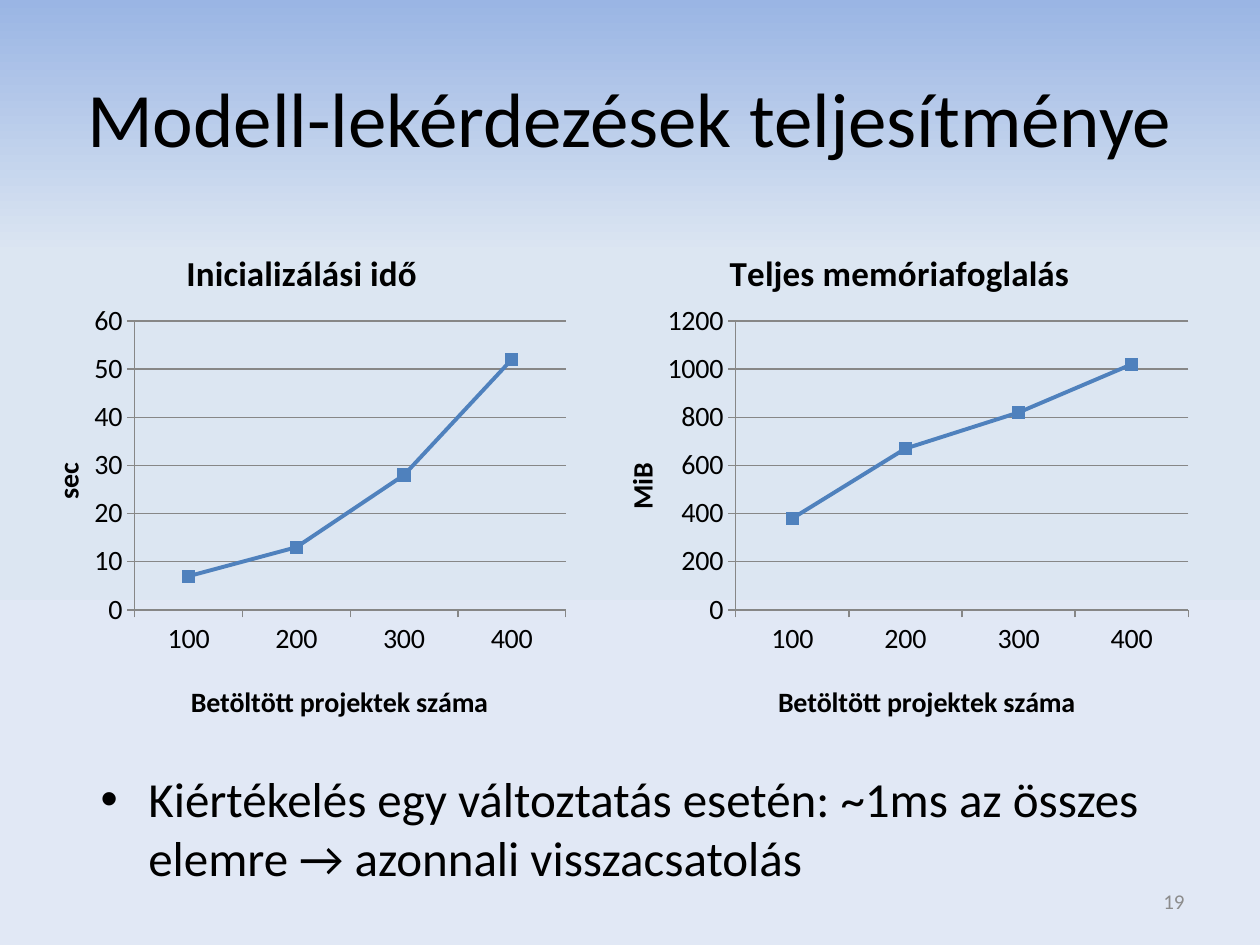
import pptx
import pptx.chart.data
import pptx.dml.color
import pptx.enum.chart
import pptx.enum.text
import pptx.oxml
import pptx.oxml.ns
import pptx.util

WIDTH, HEIGHT = 10, 7.5
FONT = "Calibri"
PROJECTS = ["100", "200", "300", "400"]
BLACK, GRAY, BLUE, AXIS = "000000", "8C8C8C", "4F81BD", "878787"
qn = pptx.oxml.ns.qn


def color(value):
    """Turn a hex string into a colour."""
    return pptx.dml.color.RGBColor.from_string(value)


def box(left, top, width, height):
    """Turn shares of the slide into lengths."""
    return [pptx.util.Inches(share * size) for share, size in
            zip((left, top, width, height), (WIDTH, HEIGHT) * 2)]


def style_font(font, size, hex_color=BLACK, bold=False):
    """Set the face, size, colour and weight of a font."""
    font.name, font.size, font.bold = FONT, pptx.util.Pt(size), bold
    font.color.rgb = color(hex_color)


def add_background(slide, stops):
    """Fill the background with a vertical gradient."""
    fill = slide.background.fill
    fill.gradient()
    fill.gradient_angle = 270
    stop_list = slide._element.find(".//" + qn("a:gsLst"))
    for stop in list(stop_list):
        stop_list.remove(stop)
    for percent, value in stops:
        stop_list.append(pptx.oxml.parse_xml(
            f'<a:gs {pptx.oxml.ns.nsdecls("a")} pos="{percent * 1000}">'
            f'<a:srgbClr val="{value}"/></a:gs>'))


def add_text(slide, place, text, size, hex_color=BLACK, align="LEFT", anchor="MIDDLE"):
    """Add a wrapped text box and return its paragraph."""
    frame = slide.shapes.add_textbox(*box(*place)).text_frame
    frame.word_wrap = True
    frame.vertical_anchor = getattr(pptx.enum.text.MSO_ANCHOR, anchor)
    paragraph = frame.paragraphs[0]
    paragraph.text = text
    paragraph.alignment = getattr(pptx.enum.text.PP_ALIGN, align)
    style_font(paragraph.font, size, hex_color)
    return paragraph


def add_bullet(paragraph, indent):
    """Give a paragraph a bullet with a hanging indent."""
    properties = paragraph._p.get_or_add_pPr()
    properties.set("marL", str(pptx.util.Inches(indent)))
    properties.set("indent", str(-pptx.util.Inches(indent)))
    namespace = pptx.oxml.ns.nsdecls("a")
    bullet = [pptx.oxml.parse_xml(f'<a:buFont {namespace} typeface="Arial"/>'),
              pptx.oxml.parse_xml(f'<a:buChar {namespace} char="•"/>')]
    for position, element in enumerate(bullet):
        properties.insert(len(properties.findall(qn("a:spcBef"))) + position, element)


def set_layout(element, **shares):
    """Place a chart part by shares of the chart's size."""
    for layout in element.findall(qn("c:layout")):
        element.remove(layout)
    target = '<c:layoutTarget val="inner"/>' if "w" in shares else ""
    modes = "".join(f'<c:{key}Mode val="edge"/>' for key in ("x", "y"))
    values = "".join(f'<c:{key} val="{share}"/>' for key, share in shares.items())
    element.insert(len(element.findall(qn("c:tx"))), pptx.oxml.parse_xml(
        f'<c:layout {pptx.oxml.ns.nsdecls("c")}><c:manualLayout>'
        f'{target}{modes}{values}</c:manualLayout></c:layout>'))


def set_title(title, text, size, x, y):
    """Write and place a bold chart or axis title."""
    paragraph = title.text_frame.paragraphs[0]
    paragraph.text = text
    style_font(paragraph.font, size, bold=True)
    set_layout(title._element, x=x, y=y)


def style_line(line, hex_color, width):
    """Set the colour and width of a line."""
    line.color.rgb = color(hex_color)
    line.width = pptx.util.Pt(width)


def add_line_chart(slide, place, title, unit, values, top_value, step, plot, title_x):
    """Add a line chart over the number of loaded projects."""
    data = pptx.chart.data.CategoryChartData()
    data.categories = PROJECTS
    data.add_series("Series 1", values)
    kind = pptx.enum.chart.XL_CHART_TYPE.LINE_MARKERS
    chart = slide.shapes.add_chart(kind, *box(*place), data).chart
    style_font(chart.font, 10)
    chart.has_legend = False
    set_title(chart.chart_title, title, 20, title_x, 0.06)
    set_title(chart.category_axis.axis_title, "Betöltött projektek száma", 16, 0.31, 0.89)
    set_title(chart.value_axis.axis_title, unit, 16, 0.06, 0.47)
    for axis in (chart.category_axis, chart.value_axis):
        style_font(axis.tick_labels.font, 16)
        style_line(axis.format.line, AXIS, 0.75)
        axis.major_tick_mark = pptx.enum.chart.XL_TICK_MARK.OUTSIDE
    axis = chart.value_axis
    axis.minimum_scale, axis.maximum_scale, axis.major_unit = 0, top_value, step
    style_line(axis.major_gridlines.format.line, AXIS, 0.75)
    chart.plots[0].vary_by_categories = False
    series = chart.plots[0].series[0]
    series.smooth = False
    style_line(series.format.line, BLUE, 2.25)
    series.marker.style = pptx.enum.chart.XL_MARKER_STYLE.SQUARE
    series.marker.size = 7
    series.marker.format.fill.solid()
    series.marker.format.fill.fore_color.rgb = color(BLUE)
    style_line(series.marker.format.line, BLUE, 0.75)
    plot_area = chart._chartSpace.find(".//" + qn("c:plotArea"))
    set_layout(plot_area, x=plot[0], y=0.21, w=plot[1], h=0.55)


def main():
    """Build the slide on model query performance."""
    presentation = pptx.Presentation()
    presentation.slide_width = pptx.util.Inches(WIDTH)
    presentation.slide_height = pptx.util.Inches(HEIGHT)
    slide = presentation.slides.add_slide(presentation.slide_layouts[6])
    add_background(slide, [(0, "9AB5E4"), (27, "DCE6F2"), (100, "E1E8F5")])
    add_text(slide, (0.05, 0.04, 0.9, 0.167), "Modell-lekérdezések teljesítménye",
             44, align="CENTER")
    add_line_chart(slide, (0.008, 0.223, 0.45, 0.556), "Inicializálási idő", "sec",
                   [7, 13, 28, 52], 60, 10, (0.22, 0.76), 0.3)
    add_line_chart(slide, (0.461, 0.223, 0.492, 0.556), "Teljes memóriafoglalás", "MiB",
                   [380, 670, 820, 1020], 1200, 200, (0.25, 0.73), 0.23)
    conclusion = add_text(
        slide, (0.07, 0.807, 0.883, 0.227),
        "Kiértékelés egy változtatás esetén: ~1ms az összes elemre → azonnali visszacsatolás",
        28, anchor="TOP")
    conclusion.space_before = pptx.util.Pt(5.6)
    add_bullet(conclusion, 0.38)
    add_text(slide, (0.717, 0.927, 0.233, 0.053), "19", 12, GRAY, "RIGHT")
    presentation.save("out.pptx")


main()
